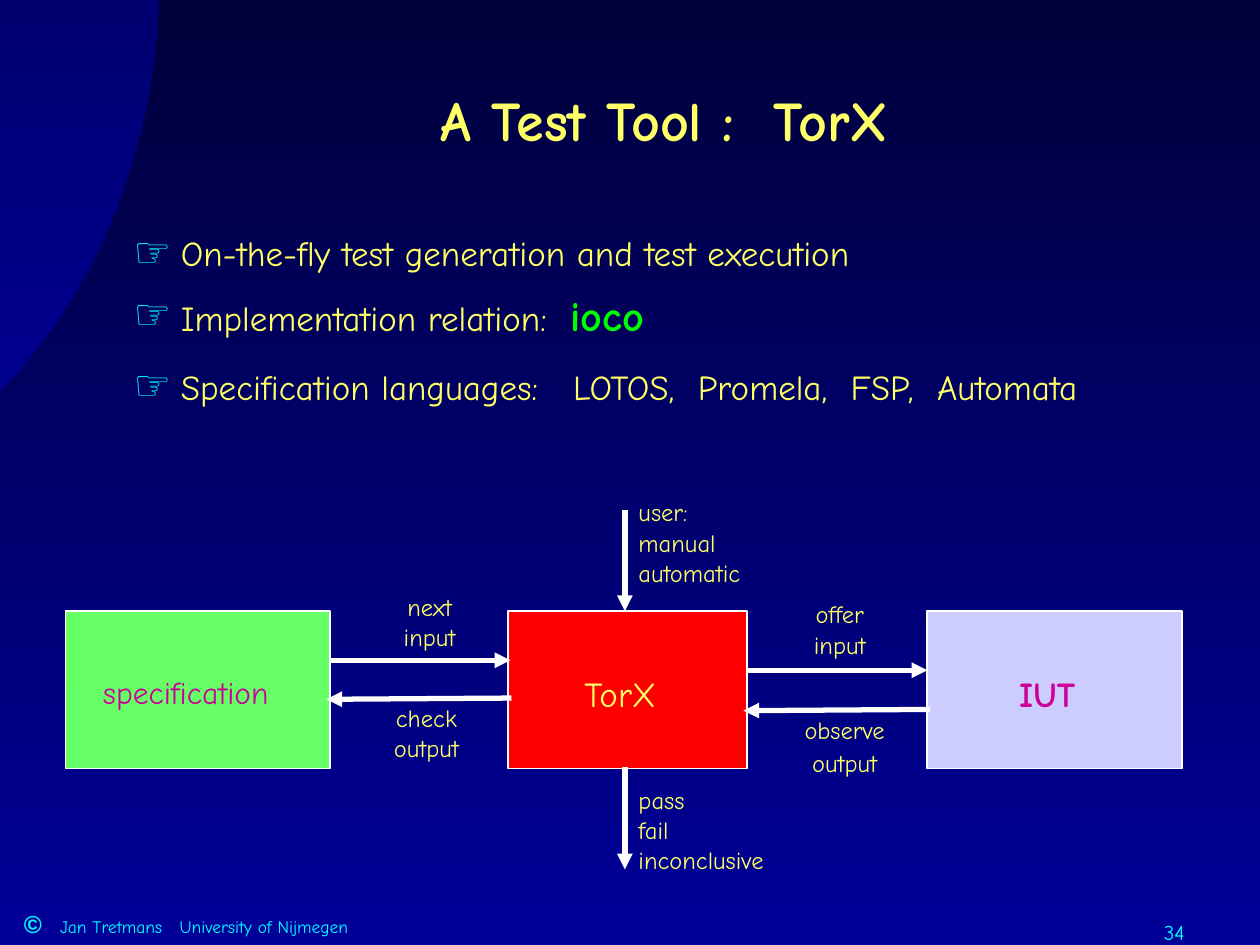
"""Build the TorX slide: test tool features and its architecture diagram."""
from dataclasses import dataclass
from math import acos, asin, cos, sin

from lxml import etree
from pptx import Presentation
from pptx.dml.color import RGBColor
from pptx.enum.shapes import MSO_CONNECTOR, MSO_SHAPE
from pptx.enum.text import MSO_ANCHOR, MSO_AUTO_SIZE, PP_ALIGN
from pptx.oxml.ns import qn
from pptx.util import Pt

LEFT, CENTER, RIGHT = PP_ALIGN.LEFT, PP_ALIGN.CENTER, PP_ALIGN.RIGHT
MIDDLE = MSO_ANCHOR.MIDDLE
NO_AUTOFIT = MSO_AUTO_SIZE.NONE
RECTANGLE = MSO_SHAPE.RECTANGLE
STRAIGHT = MSO_CONNECTOR.STRAIGHT

FACE = "Comic Neue"
YELLOW, CYAN, MAGENTA, WHITE = "FFFF66", "00FFFF", "CC0099", "FFFFFF"
BOX_TOP, BOX_HEIGHT = 349.2, 90


@dataclass
class Component:
    left: float
    width: float
    fill: str


@dataclass
class Label:
    lines: tuple[str, ...]
    left: float
    top: float
    width: float
    height: float
    size: float = 14
    color: str = YELLOW
    bold: bool = False
    align: PP_ALIGN = CENTER
    spacing: float = 0.5


@dataclass
class Arrow:
    x1: float
    y1: float
    x2: float
    y2: float


@dataclass
class Feature:
    text: str
    line_spacing: float
    space_before: float
    emphasis: str = ""


COMPONENTS = [
    Component(290.2, 136.8, "FF0000"),
    Component(529.9, 145.4, "CCCCFF"),
    Component(37.4, 151.2, "66FF66"),
]

LABELS = [
    Label(("TorX",), 326.9, 380.9, 64.1, 31.7, 20, align=LEFT, spacing=1),
    Label(("IUT",), 575.3, 380.9, 54, 31.7, 20, MAGENTA, True, LEFT, 1),
    Label(("specification",), 51.8, 380.9, 122.4, 28.8, 18, MAGENTA, align=LEFT, spacing=1),
    Label(("next", "input"), 206.6, 342, 77.8, 33.1),
    Label(("check", "output"), 199.4, 405.4, 88.6, 33.1),
    Label(("offer", "input"), 429.1, 346.3, 101.5, 33.1),
    Label(("observe", "output"), 440.6, 411.1, 84.2, 36, spacing=0.6),
    Label(("user:", "manual", "automatic"), 357.8, 288, 97.9, 50.4, align=LEFT),
    Label(("pass", "fail", "inconclusive"), 357.8, 452.2, 97.9, 50.4, align=LEFT),
    Label(("34",), 617.8, 522, 66.2, 18, 12, CYAN, align=RIGHT, spacing=1),
]

ARROWS = [
    Arrow(187.9, 377.3, 291.6, 377.3),
    Arrow(292.3, 398.9, 186.5, 399.6),
    Arrow(426.2, 383, 529.9, 383),
    Arrow(531.4, 405.4, 424.8, 406.1),
    Arrow(357.1, 291.6, 357.1, 349.2),
    Arrow(357.1, 438.5, 357.1, 496.8),
]

FEATURES = [
    Feature("On-the-fly test generation and test execution", 1.3, 0),
    Feature("Implementation relation:  ", 1.1, 6, "ioco"),
    Feature("Specification languages:   LOTOS,  Promela,  FSP,  Automata", 1.4, 5),
]


def rgb(value: str) -> RGBColor:
    """Turn a hex string into a colour."""
    return RGBColor.from_string(value)


def style(font, size: float, color: str, bold: bool = False, face: str = FACE) -> None:
    """Set face, size, colour and weight of a font."""
    font.name, font.size, font.bold = face, Pt(size), bold
    font.color.rgb = rgb(color)


def shade(fill, top: str, bottom: str) -> None:
    """Fill with a vertical gradient."""
    fill.gradient()
    fill.gradient_angle = 270
    for stop, color in zip(fill.gradient_stops, (top, bottom)):
        stop.color.rgb = rgb(color)


def place(shape, left: float, top: float, width: float, height: float) -> None:
    """Move and size a shape, in points."""
    shape.left, shape.top, shape.width, shape.height = map(Pt, (left, top, width, height))


def add_corner_disc(slide) -> None:
    """Draw the part of the large ellipse that shows in the top left corner."""
    center_x, center_y, radius_x, radius_y = -168.5, -14.4, 259.9, 312.5
    start, end, steps = asin(-center_y / radius_y), acos(-center_x / radius_x), 60
    angles = [start + (end - start) * step / steps for step in range(steps + 1)]
    arc = [(Pt(center_x + radius_x * cos(a)), Pt(center_y + radius_y * sin(a))) for a in angles]
    outline = slide.shapes.build_freeform(0, 0)
    outline.add_line_segments(arc)
    disc = outline.convert_to_shape()
    disc.shadow.inherit = False
    disc.line.fill.background()
    shade(disc.fill, "000071", "00008F")


def add_footer(slide) -> None:
    """Write the copyright line with tab stops."""
    frame = slide.shapes.add_textbox(0, Pt(516.2), Pt(270), Pt(23.8)).text_frame
    frame.word_wrap = True
    frame.margin_left = Pt(13.7)
    paragraph = frame.paragraphs[0]
    tabs = etree.SubElement(paragraph._p.get_or_add_pPr(), qn("a:tabLst"))
    for position in (20.6, 89):
        etree.SubElement(tabs, qn("a:tab"), pos=str(Pt(position)), algn="l")
    sign, author = paragraph.add_run(), paragraph.add_run()
    sign.text, author.text = "©", "\tJan Tretmans\tUniversity of Nijmegen"
    style(sign.font, 14, CYAN, True, "Arial")
    style(author.font, 10, CYAN)


def add_feature(paragraph, feature: Feature) -> None:
    """Write one bulleted feature."""
    properties = paragraph._p.get_or_add_pPr()
    properties.set("marL", str(Pt(27)))
    properties.set("indent", str(Pt(-27)))
    paragraph.line_spacing = feature.line_spacing
    paragraph.space_before = Pt(feature.space_before)
    bullet_color = etree.SubElement(properties, qn("a:buClr"))
    etree.SubElement(bullet_color, qn("a:srgbClr"), val=CYAN)
    etree.SubElement(properties, qn("a:buSzPct"), val="120000")
    etree.SubElement(properties, qn("a:buChar"), char="☞")
    style(paragraph.font, 20, YELLOW)
    paragraph.add_run().text = feature.text
    if feature.emphasis:
        relation = paragraph.add_run()
        relation.text = feature.emphasis
        style(relation.font, 24, "00FF00", True)


def add_component(slide, component: Component) -> None:
    """Draw one box of the diagram."""
    box = slide.shapes.add_shape(
        RECTANGLE, Pt(component.left), Pt(BOX_TOP), Pt(component.width), Pt(BOX_HEIGHT))
    box.shadow.inherit = False
    box.fill.solid()
    box.fill.fore_color.rgb = rgb(component.fill)
    box.line.color.rgb = rgb(WHITE)
    box.line.width = Pt(1)


def add_label(slide, label: Label) -> None:
    """Write a label, one paragraph per line."""
    area = map(Pt, (label.left, label.top, label.width, label.height))
    frame = slide.shapes.add_textbox(*area).text_frame
    frame.word_wrap = True
    for index, line in enumerate(label.lines):
        paragraph = frame.add_paragraph() if index else frame.paragraphs[0]
        paragraph.text = line
        paragraph.alignment = label.align
        paragraph.line_spacing = label.spacing
        paragraph.space_before = Pt(8.8 if index else 0)
        style(paragraph.font, label.size, label.color, label.bold)


def add_arrow(slide, arrow: Arrow) -> None:
    """Draw a white arrow pointing at its second end."""
    ends = map(Pt, (arrow.x1, arrow.y1, arrow.x2, arrow.y2))
    connector = slide.shapes.add_connector(STRAIGHT, *ends)
    connector.line.color.rgb = rgb(WHITE)
    connector.line.width = Pt(3)
    etree.SubElement(connector.line._get_or_add_ln(), qn("a:tailEnd"), type="triangle")
    etree.SubElement(connector._element.spPr, qn("a:effectLst"))


def main() -> None:
    """Build and save the slide."""
    deck = Presentation()
    deck.slide_width, deck.slide_height = Pt(720), Pt(540)
    slide = deck.slides.add_slide(deck.slide_layouts[1])
    shade(slide.background.fill, "00003B", "000099")
    add_corner_disc(slide)
    add_footer(slide)

    title, features = slide.placeholders
    place(title, 74.2, 23, 612, 90)
    title.text_frame.text = "A Test Tool :  TorX"
    title.text_frame.vertical_anchor = MIDDLE
    heading = title.text_frame.paragraphs[0]
    heading.alignment = CENTER
    style(heading.font, 32, YELLOW, True)

    place(features, 69.1, 121.7, 650.9, 125.3)
    frame = features.text_frame
    frame.auto_size = NO_AUTOFIT
    for index, feature in enumerate(FEATURES):
        add_feature(frame.add_paragraph() if index else frame.paragraphs[0], feature)

    for component in COMPONENTS:
        add_component(slide, component)
    for label in LABELS:
        add_label(slide, label)
    for arrow in ARROWS:
        add_arrow(slide, arrow)
    deck.save("out.pptx")


if __name__ == "__main__":
    main()
